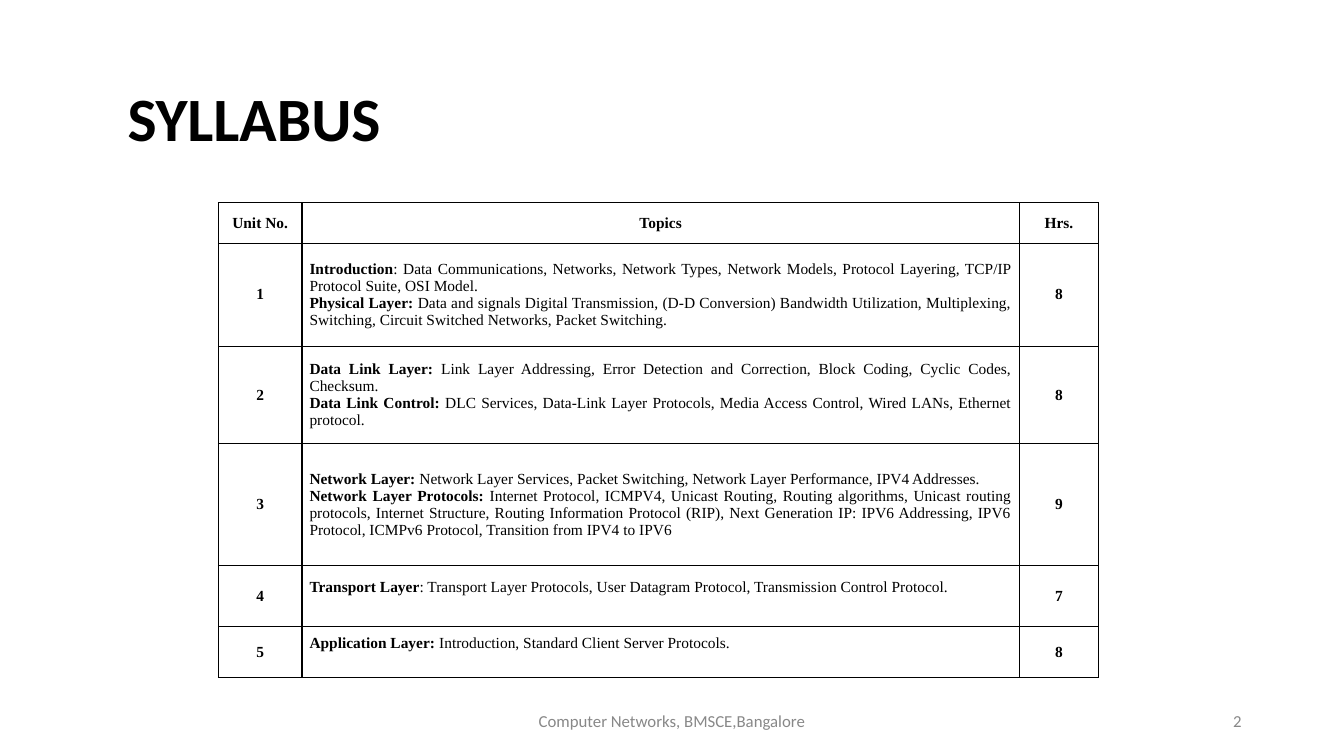
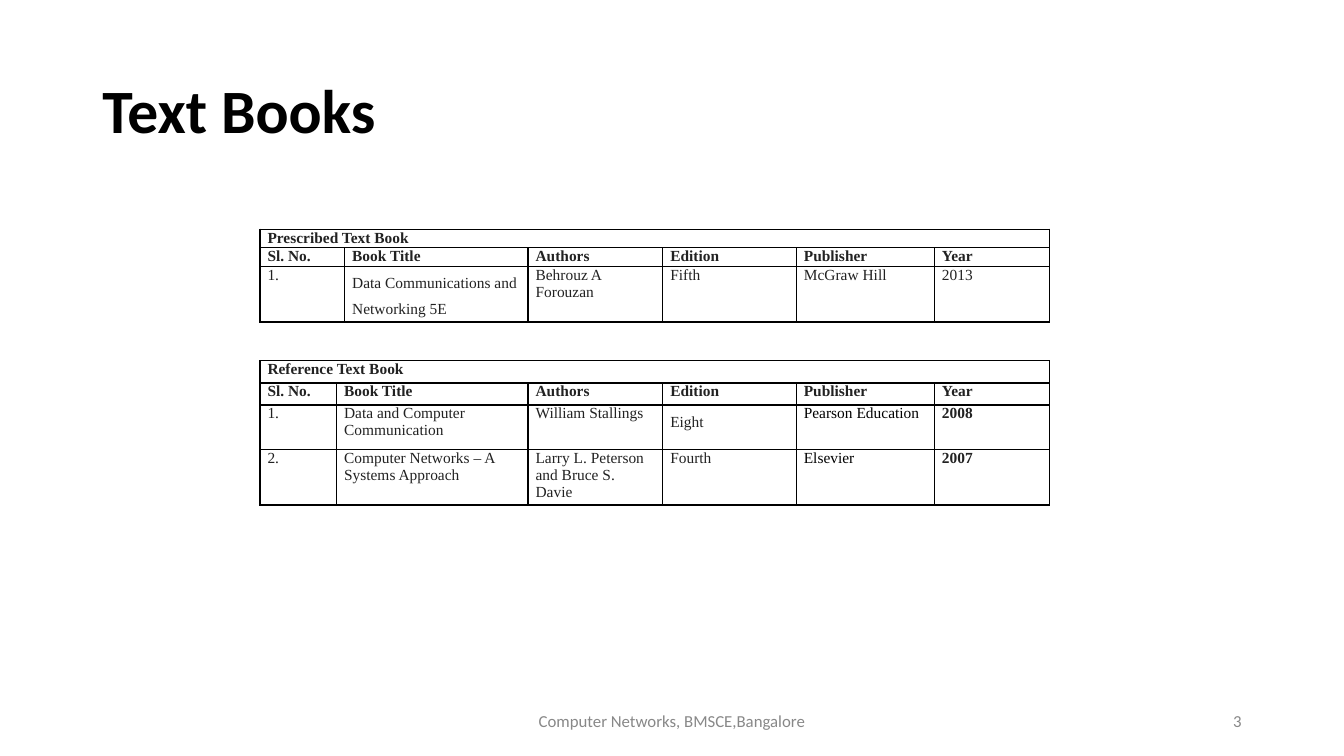
"""Build the syllabus and text book slides of a computer networks course."""
import pptx
import pptx.dml.color
import pptx.enum.text
import pptx.oxml
import pptx.oxml.ns
import pptx.util

COLORS = {"ink": "000000", "book": "222222", "footer": "888888"}
HEADING_FONT, TABLE_FONT = "Calibri", "Times New Roman"
WIDTH, HEIGHT = pptx.util.Inches(13.33), pptx.util.Inches(7.5)
COLUMNS, ROWS = 160, 90
ALIGN = pptx.enum.text.PP_ALIGN
ANCHOR = pptx.enum.text.MSO_ANCHOR
FOOTER = "Computer Networks, BMSCE,Bangalore"
HEADINGS = ["Sl. No.", "Book Title", "Authors", "Edition", "Publisher", "Year"]
SYLLABUS = [
    ([("Introduction", ": Data Communications, Networks, Network Types, Network Models, "
       "Protocol Layering, TCP/IP Protocol Suite, OSI Model."),
      ("Physical Layer:", " Data and signals Digital Transmission, (D-D Conversion) Bandwidth "
       "Utilization, Multiplexing, Switching, Circuit Switched Networks, Packet Switching.")], "8"),
    ([("Data Link Layer:", " Link Layer Addressing, Error Detection and Correction, "
       "Block Coding, Cyclic Codes, Checksum."),
      ("Data Link Control:", " DLC Services, Data-Link Layer Protocols, Media Access Control, "
       "Wired LANs, Ethernet protocol.")], "8"),
    ([("Network Layer:", " Network Layer Services, Packet Switching, Network Layer Performance, "
       "IPV4 Addresses."),
      ("Network Layer Protocols:", " Internet Protocol, ICMPV4, Unicast Routing, Routing "
       "algorithms, Unicast routing protocols, Internet Structure, Routing Information Protocol "
       "(RIP), Next Generation IP: IPV6 Addressing, IPV6 Protocol, ICMPv6 Protocol, Transition "
       "from IPV4 to IPV6")], "9"),
    ([("Transport Layer", ": Transport Layer Protocols, User Datagram Protocol, "
       "Transmission Control Protocol.")], "7"),
    ([("Application Layer:", " Introduction, Standard Client Server Protocols.")], "8"),
]
PRESCRIBED = [["1.", "Data Communications and Networking 5E", "Behrouz A Forouzan",
               "Fifth", "McGraw Hill", "2013"]]
REFERENCES = [
    ["1.", "Data and Computer Communication", "William Stallings",
     "Eight", "Pearson Education", "2008"],
    ["2.", "Computer Networks – A Systems Approach", "Larry L. Peterson and Bruce S. Davie",
     "Fourth", "Elsevier", "2007"],
]


def across(columns):
    return int(WIDTH * columns / COLUMNS)


def down(rows):
    return int(HEIGHT * rows / ROWS)


def write(frame, text, font=TABLE_FONT, size=11, color="ink", bold=False,
          align=ALIGN.LEFT, spacing=1.0):
    """Write a string, or paragraphs given as a bold lead and plain rest."""
    paragraphs = [[(text, bold)]] if isinstance(text, str) else [
        [(lead, True), (rest, False)] for lead, rest in text]
    frame.word_wrap = True
    for index, pieces in enumerate(paragraphs):
        paragraph = frame.add_paragraph() if index else frame.paragraphs[0]
        paragraph.alignment = align
        paragraph.line_spacing = spacing
        for words, strong in pieces:
            run = paragraph.add_run()
            run.text = words
            run.font.name = font
            run.font.size = pptx.util.Pt(size)
            run.font.bold = strong
            run.font.color.rgb = pptx.dml.color.RGBColor.from_string(COLORS[color])


def add_label(slide, text, left, top, width, height, **style):
    label = slide.shapes.add_textbox(across(left), down(top), across(width), down(height))
    label.text_frame.vertical_anchor = ANCHOR.MIDDLE
    write(label.text_frame, text, font=HEADING_FONT, **style)


def add_page(deck, title, title_place, number):
    slide = deck.slides.add_slide(deck.slide_layouts[6])
    add_label(slide, title, *title_place, size=44, bold=True, spacing=0.9)
    add_label(slide, FOOTER, 53, 83.4, 54, 4.8, size=12, color="footer", align=ALIGN.CENTER)
    add_label(slide, str(number), 113, 83.4, 36, 4.8, size=12, color="footer", align=ALIGN.RIGHT)
    return slide


def outline(cell):
    properties = cell._tc.get_or_add_tcPr()
    for side in "LRTB":
        properties.append(pptx.oxml.parse_xml(
            f'<a:ln{side} {pptx.oxml.ns.nsdecls("a")} w="12700"><a:solidFill>'
            f'<a:srgbClr val="{COLORS["ink"]}"/></a:solidFill></a:ln{side}>'))


def add_grid(slide, left, top, widths, heights, anchor):
    """Add an outlined, unfilled table of the given column widths and row heights."""
    grid = slide.shapes.add_table(len(heights), len(widths), across(left), down(top),
                                  across(sum(widths)), down(sum(heights))).table
    grid.first_row = grid.horz_banding = False
    for column, width in zip(grid.columns, widths):
        column.width = across(width)
    for row, height in zip(grid.rows, heights):
        row.height = down(height)
    for cell in grid.iter_cells():
        cell.margin_left = cell.margin_right = pptx.util.Pt(5.4)
        cell.margin_top = cell.margin_bottom = 0
        cell.vertical_anchor = anchor
        outline(cell)
        cell.fill.background()
    return grid


def add_syllabus(slide):
    units = add_grid(slide, 26, 24.15, [9.95, 85.4, 9.45],
                     [4.82, 12.24, 11.6, 14.52, 7.3, 6], ANCHOR.MIDDLE)
    lines = [("Unit No.", "Topics", "Hrs.")]
    lines += [(str(unit), topics, hours) for unit, (topics, hours) in enumerate(SYLLABUS, 1)]
    for row, line in enumerate(lines):
        for column, text in enumerate(line):
            cell = units.cell(row, column)
            is_topics = not isinstance(text, str)
            if is_topics and len(text) == 1:
                cell.margin_bottom = down(2)
            write(cell.text_frame, text, bold=True,
                  align=ALIGN.JUSTIFY if is_topics else ALIGN.CENTER)


def add_books(slide, caption, books, top, first_widths, heights, special):
    """Add a captioned book list; special maps a cell's text to its own format."""
    shelf = add_grid(slide, 30.95, top, first_widths + [16.04, 15.9, 16.44, 13.68],
                     heights, ANCHOR.TOP)
    shelf.cell(0, 0).merge(shelf.cell(0, len(HEADINGS) - 1))
    for row, line in enumerate([[caption], HEADINGS] + books):
        for column, text in enumerate(line):
            style = {"color": "book", "bold": row < 2, **special.get(text, {})}
            write(shelf.cell(row, column).text_frame, text, **style)


def main():
    deck = pptx.Presentation()
    deck.slide_width, deck.slide_height = WIDTH, HEIGHT
    add_syllabus(add_page(deck, "SYLLABUS", (14, 8.95, 132, 11), 2))
    text_books = add_page(deck, "Text Books", (11, 4.8, 138, 17.4), 3)
    add_books(text_books, "Prescribed Text Book", PRESCRIBED, 27.3, [10.08, 21.84],
              [1.8, 1.8, 1.8], {PRESCRIBED[0][1]: {"spacing": 1.5}})
    special = {"Eight": {"spacing": 1.5, "align": ALIGN.JUSTIFY}}
    for *_, publisher, year in REFERENCES:
        special[publisher] = {"color": "ink"}
        special[year] = {"bold": True}
    add_books(text_books, "Reference Text Book", REFERENCES, 42.95, [9.12, 22.8],
              [2.64, 2.64, 5.28, 5.28], special)
    deck.save("out.pptx")


if __name__ == "__main__":
    main()
